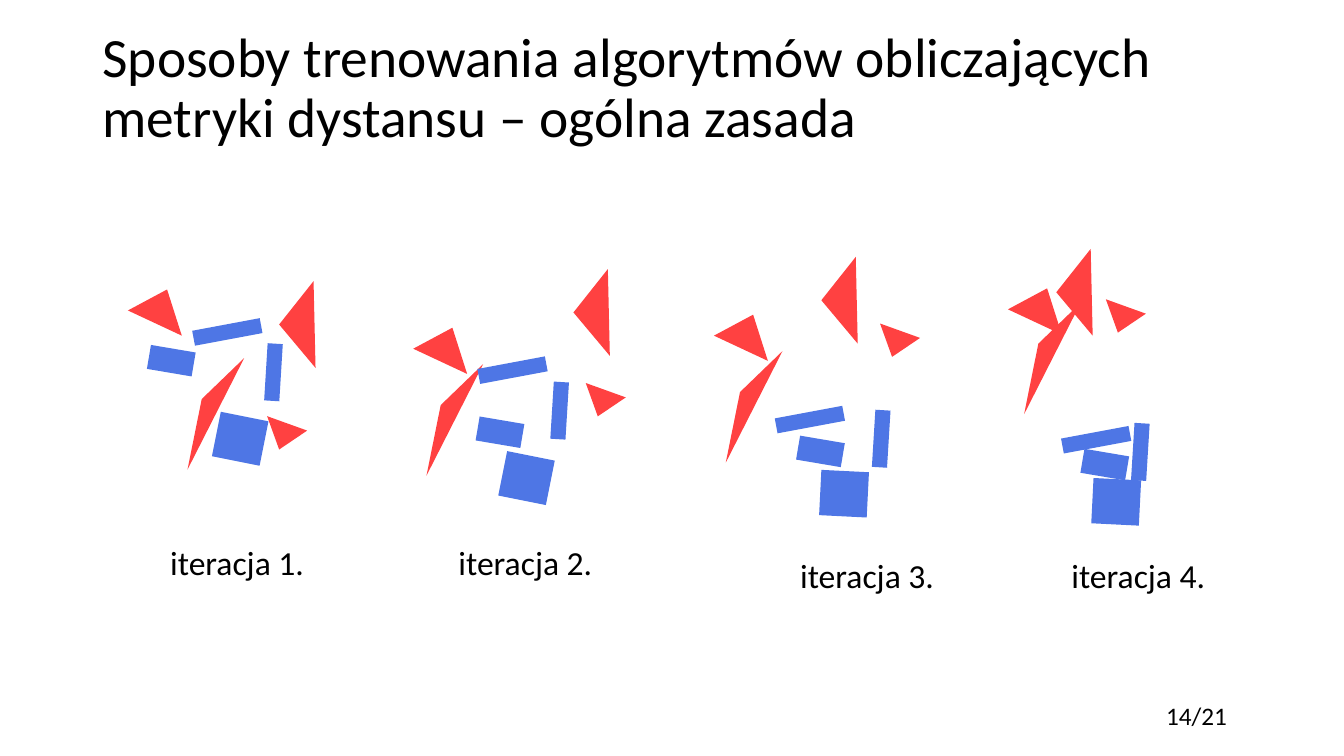
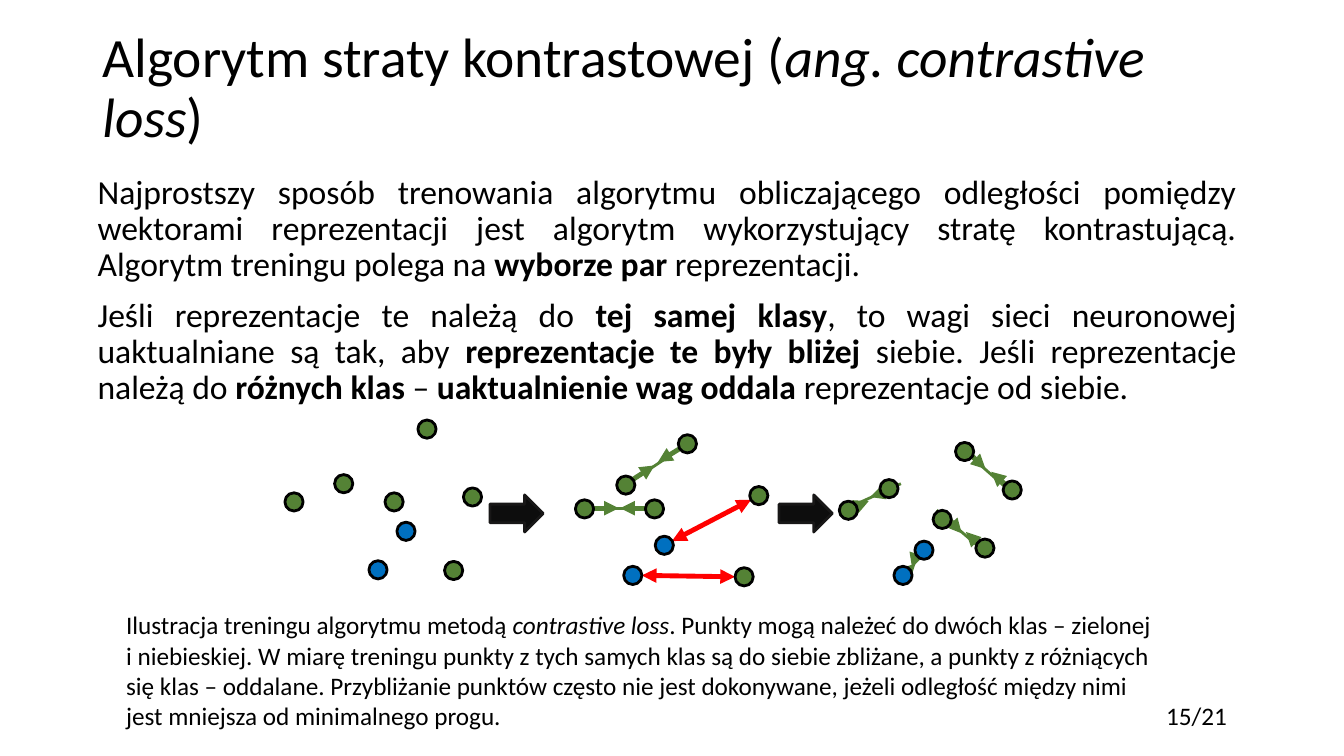
from lxml import etree
from pptx import Presentation
from pptx.dml.color import RGBColor
from pptx.enum.shapes import MSO_CONNECTOR, MSO_SHAPE
from pptx.enum.text import MSO_ANCHOR, MSO_AUTO_SIZE, PP_ALIGN
from pptx.oxml.ns import qn
from pptx.util import Pt

STRAIGHT = MSO_CONNECTOR.STRAIGHT
OVAL = MSO_SHAPE.OVAL
ARROW = MSO_SHAPE.RIGHT_ARROW
MIDDLE = MSO_ANCHOR.MIDDLE
TOP = MSO_ANCHOR.TOP
FIXED = MSO_AUTO_SIZE.NONE
LEFT = PP_ALIGN.LEFT
RIGHT = PP_ALIGN.RIGHT
JUST = PP_ALIGN.JUSTIFY

FONT = "Calibri"
BLACK = "000000"
CORAL = "FF4141"
AZURE = "4E76E5"
GREEN = "548235"
BLUE = "0070C0"
RED = "FF0000"
INK = "0D0D0D"
EDGE = "181717"

DOT = 13
THIN = 2
THICK = 3.5
TOTAL = 21

TRIS = {
    "wedge": [(38.5, 18), (28, -15)],
    "spike": [(40.5, -79.7), (10.2, -50.4)],
    "chip": [(20, -13.5), (-8.6, -23.8)],
    "sail": [(-1.4, -62), (-26, -31)],
}
BARS = {
    "post": (-2.5, 40.8, 10.84),
    "beam": (-48.2, 9, 10.84),
    "brick": (-2.9, 17.1, 32.38),
    "block": (-34, -6.8, 32.38),
    "level": (-34, -1.7, 32.38),
}
STEPS = [
    ((90, 180), (24.5, 203.8), {
        "wedge": (1.4, 41.8), "spike": (43.9, 155.5),
        "chip": (109.4, 141.1), "sail": (135.4, 82.8),
        "post": (106.6, 65.5), "beam": (96.5, 52.6),
        "brick": (33.8, 69.1), "block": (98.6, 136.8)}),
    ((295, 180), (25.4, 203.8), {
        "wedge": (0.2, 69.1), "spike": (9.6, 159.8),
        "chip": (132, 117.4), "sail": (140.6, 74.2),
        "post": (106, 92.9), "beam": (95.2, 79.9),
        "brick": (63.6, 120.2), "block": (98.1, 164.9)}),
    ((510, 180), (54.5, 213), {
        "wedge": (0, 59.8), "spike": (8.4, 150.5),
        "chip": (127.2, 74.9), "sail": (102.7, 65.5),
        "post": (120.7, 113), "beam": (92.6, 115.2),
        "brick": (77.5, 133.9), "level": (109.9, 173.5)}),
    ((720, 180), (38.2, 212.5), {
        "wedge": (0, 41), "spike": (11.5, 115.9),
        "chip": (78.5, 57.6), "sail": (60.5, 59.8),
        "post": (95.8, 122.4), "beam": (87.1, 129.6),
        "brick": (70.6, 143.3), "level": (94.3, 179.3)}),
]

SCENES = [
    {"box": (200, 300),
     "green": [(10, 58.5), (81.5, 58.5), (45.5, 45.5), (105, 6.5),
               (124, 107.5), (137.5, 55)],
     "blue": [(70, 107), (90, 79.5)],
     "ties": [], "pulls": [], "pushes": []},
    {"box": (410, 300),
     "green": [(7.5, 63.5), (57.5, 63.5), (37, 46.5), (81, 17),
               (121.5, 112), (132, 54)],
     "blue": [(42, 111), (64.5, 89.5)],
     "ties": [(14, 63.5, 51, 63.5), (43, 42.5, 76, 20.5)],
     "pulls": [(14, 63, 32, 63), (51, 63, 33, 63),
               (42, 42.5, 57.5, 32.5), (75.5, 20.5, 60, 30)],
     "pushes": [(115, 112, 48.5, 111), (126.5, 57, 70, 86.5)]},
    {"box": (595, 300),
     "green": [(108.5, 91.5), (128, 50), (94, 22.5), (78, 71),
               (40, 49), (11, 64.5)],
     "blue": [(65, 93), (50, 111)],
     "ties": [(95.5, 23.5, 125.5, 50), (74, 64.5, 103.5, 90),
              (48.5, 45.5, 12.5, 62)],
     "pulls": [(96, 22.5, 109, 35), (126.5, 49, 113, 37),
               (84, 72, 92, 81), (107.5, 92.5, 95, 80),
               (37, 51.5, 26.5, 55), (9, 65, 25.5, 58),
               (59.5, 96, 56.5, 105.5), (54.5, 107, 59, 102.5)],
     "pushes": []},
]

BODY = [
    [("Najprostszy sposób trenowania algorytmu obliczającego odległości "
      "pomiędzy wektorami reprezentacji jest algorytm wykorzystujący stratę "
      "kontrastującą. Algorytm treningu polega na ", ""),
     ("wyborze par", "b"), (" reprezentacji. ", "")],
    [("Jeśli reprezentacje te należą do ", ""), ("tej samej klasy", "b"),
     (", to wagi sieci neuronowej uaktualniane są tak, aby ", ""),
     ("reprezentacje te były bliżej ", "b"),
     ("siebie. Jeśli reprezentacje należą do ", ""),
     ("różnych klas ", "b"), ("– ", ""),
     ("uaktualnienie wag oddala ", "b"),
     ("reprezentacje od siebie.", "")],
]
NOTE = [
    ("Ilustracja treningu algorytmu metodą ", ""),
    ("contrastive loss", "i"),
    (". Punkty mogą należeć do dwóch klas – zielonej i niebieskiej. "
     "W miarę treningu punkty z tych samych klas są do siebie zbliżane, "
     "a punkty z różniących się klas – oddalane. Przybliżanie punktów często "
     "nie jest dokonywane, jeżeli odległość między nimi jest mniejsza od "
     "minimalnego progu.", ""),
]


def paint(form, tone):
    form.solid()
    form.fore_color.rgb = RGBColor.from_string(tone)


def place(shape, box):
    shape.left, shape.top, shape.width, shape.height = map(Pt, box)


def write(shape, paras, size, align=LEFT, anchor=TOP, wrap=True, lead=None,
          gap=0):
    frame = shape.text_frame
    frame.word_wrap = wrap
    frame.auto_size = FIXED
    frame.vertical_anchor = anchor
    for num, runs in enumerate(paras):
        para = frame.add_paragraph() if num else frame.paragraphs[0]
        props = para._p.get_or_add_pPr()
        props.set("marL", "0")
        props.set("indent", "0")
        etree.SubElement(props, qn("a:buNone"))
        para.alignment = align
        para.line_spacing = lead
        para.space_before = Pt(gap)
        para.font.name = FONT
        para.font.size = Pt(size)
        paint(para.font.fill, BLACK)
        for text, style in runs:
            run = para.add_run()
            run.text = text
            if style == "b":
                run.font.bold = True
            elif style == "i":
                run.font.italic = True


def label(slide, box, runs, size, **opts):
    area = slide.shapes.add_textbox(*map(Pt, box))
    write(area, [runs], size, **opts)


def stroke(shapes, ends, tone, width, heads=()):
    line = shapes.add_connector(STRAIGHT, *map(Pt, ends))
    paint(line.line.fill, tone)
    line.line.width = Pt(width)
    props = line._element.spPr
    for head in heads:
        tip = etree.SubElement(props.find(qn("a:ln")), qn(head))
        tip.set("type", "triangle")
    etree.SubElement(props, qn("a:effectLst"))


def solid(shapes, kind, box, tone, edge):
    shape = shapes.add_shape(kind, *map(Pt, box))
    shape.shadow.inherit = False
    paint(shape.fill, tone)
    paint(shape.line.fill, edge)
    shape.line.width = Pt(THIN)


def tri(shapes, left, top, turns, tone):
    pen = shapes.build_freeform(Pt(left), Pt(top))
    pen.add_line_segments([(Pt(left + x), Pt(top + y)) for x, y in turns])
    shape = pen.convert_to_shape()
    shape.shadow.inherit = False
    paint(shape.fill, tone)
    shape.line.fill.background()


def step(slide, num, box, tag, parts):
    left, top = box
    shapes = slide.shapes.add_group_shape().shapes
    for name, (x, y) in parts.items():
        x, y = left + x, top + y
        if name in TRIS:
            tri(shapes, x, y, TRIS[name], CORAL)
        else:
            wide, high, width = BARS[name]
            stroke(shapes, (x, y, x + wide, y + high), AZURE, width)
    label(slide, (left + tag[0], top + tag[1], 111, 36),
          [(f"iteracja {num}.", "")], 24, wrap=False)


def scene(slide, data):
    left, top = data["box"]
    shapes = slide.shapes.add_group_shape().shapes
    kinds = [("ties", GREEN, THIN, ()),
             ("pulls", GREEN, THICK, ("a:tailEnd",)),
             ("pushes", RED, THICK, ("a:headEnd", "a:tailEnd"))]
    for kind, tone, width, heads in kinds:
        for x, y, right, base in data[kind]:
            ends = (left + x, top + y, left + right, top + base)
            stroke(shapes, ends, tone, width, heads)
    for kind, tone in (("green", GREEN), ("blue", BLUE)):
        for x, y in data[kind]:
            box = (left + x - DOT / 2, top + y - DOT / 2, DOT, DOT)
            solid(shapes, OVAL, box, tone, BLACK)


def start(deck, kind, title, page):
    slide = deck.slides.add_slide(deck.slide_layouts[kind])
    place(slide.shapes.title, (66, 29, 828, 70))
    write(slide.shapes.title, [title], 39.6, anchor=MIDDLE, lead=0.9)
    label(slide, (824.5, 497, 59, 29), [(f"{page}/{TOTAL}", "")], 18,
          align=RIGHT)
    return slide


def rounds(deck):
    title = [("Sposoby trenowania algorytmów obliczających metryki dystansu "
              "– ogólna zasada", "")]
    slide = start(deck, 5, title, 14)
    for num, (box, tag, parts) in enumerate(STEPS, 1):
        step(slide, num, box, tag, parts)


def loss(deck):
    title = [("Algorytm straty kontrastowej (", ""),
             ("ang. contrastive loss", "i"), (")", "")]
    slide = start(deck, 1, title, 15)
    body = slide.placeholders[1]
    place(body, (62.5, 121.5, 828, 366.5))
    write(body, BODY, 24, align=JUST, lead=0.9, gap=10)
    for data in SCENES:
        scene(slide, data)
    for left in (350, 556.5):
        solid(slide.shapes, ARROW, (left, 353.5, 38, 26.5), INK, EDGE)
    label(slide, (83, 432, 754, 104), NOTE, 18)


def main():
    deck = Presentation()
    deck.slide_width, deck.slide_height = Pt(960), Pt(540)
    rounds(deck)
    loss(deck)
    deck.save("out.pptx")


if __name__ == "__main__":
    main()
